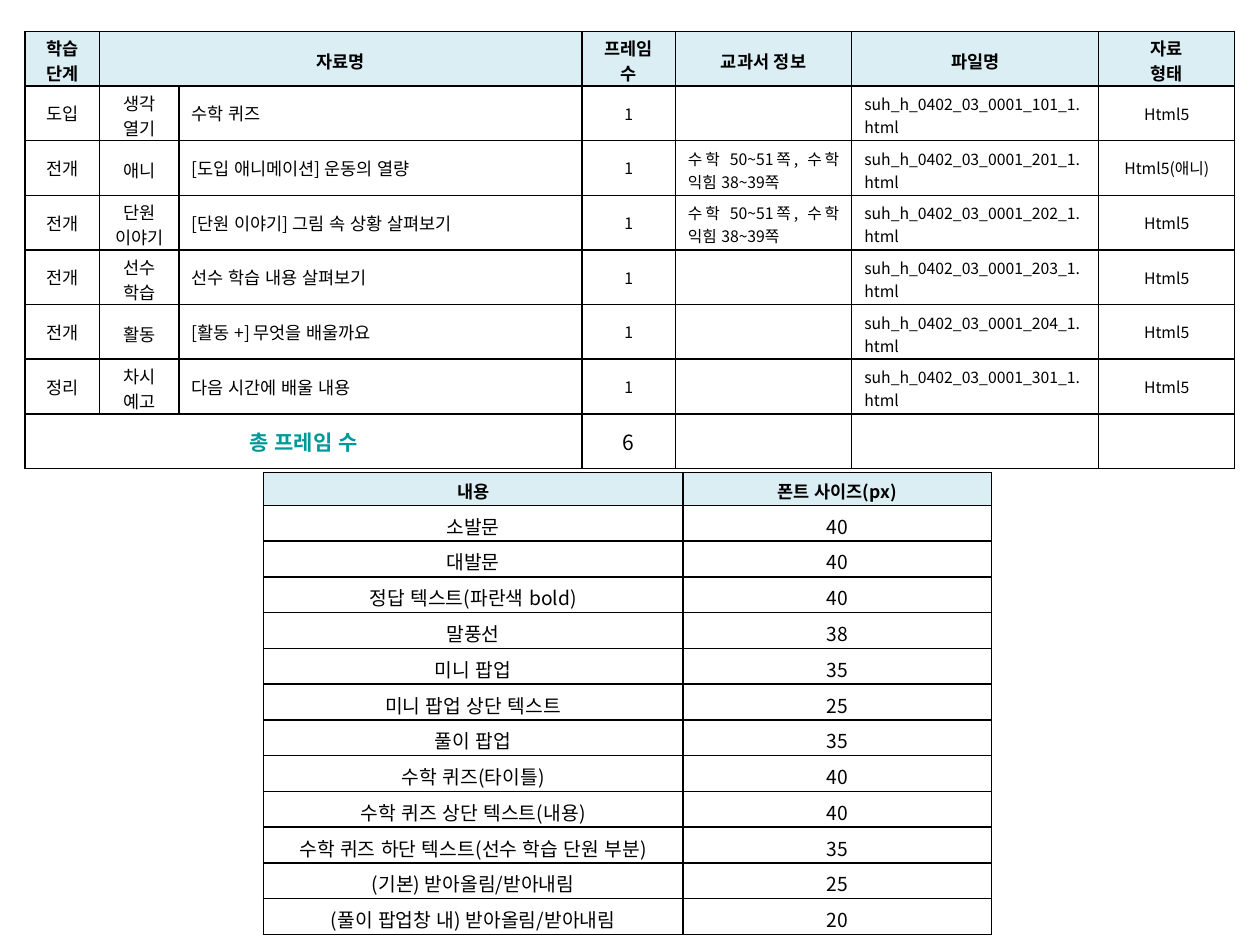
from dataclasses import dataclass

from lxml.etree import SubElement
from pptx import Presentation
from pptx.dml.color import RGBColor
from pptx.enum.lang import MSO_LANGUAGE_ID
from pptx.enum.text import MSO_ANCHOR, PP_ALIGN
from pptx.oxml.ns import qn
from pptx.util import Inches, Pt


@dataclass(frozen=True)
class Theme:
    """Colours, font, type sizes and cell margins of the slide."""
    font: str = "Noto Sans CJK KR"
    ink: str = "000000"
    accent: str = "009999"
    header: str = "DBEEF4"
    paper: str = "FFFFFF"
    small: int = 9
    normal: int = 10
    medium: int = 11
    large: int = 12
    even: tuple = (0.05, 0.05)
    two_line: tuple = (0.03, 0)
    two_line_small: tuple = (0.05, 0.02)
    compact: tuple = (0.05, 0.01)


THEME = Theme()
CENTER, LEFT, JUSTIFY = PP_ALIGN.CENTER, PP_ALIGN.LEFT, PP_ALIGN.JUSTIFY

LESSON_HEADER = ["학습 단계", "자료명", "", "프레임 수", "교과서 정보", "파일명", "자료\n형태"]
TEXTBOOK = "수학 50~51쪽, 수학 익힘 38~39쪽"
LESSONS = [
    ("도입", "생각\n열기", "수학 퀴즈", "", "101", "Html5"),
    ("전개", "애니", "[도입 애니메이션] 운동의 열량", TEXTBOOK, "201", "Html5(애니)"),
    ("전개", "단원\n이야기", "[단원 이야기] 그림 속 상황 살펴보기", TEXTBOOK, "202", "Html5"),
    ("전개", "선수\v학습", "선수 학습 내용 살펴보기", "", "203", "Html5"),
    ("전개", "활동", "[활동 +] 무엇을 배울까요", "", "204", "Html5"),
    ("정리", "차시 예고", "다음 시간에 배울 내용", "", "301", "Html5"),
]
LESSON_STYLES = [
    (THEME.normal, CENTER, THEME.even),
    (THEME.normal, CENTER, THEME.two_line),
    (THEME.normal, LEFT, THEME.even),
    (THEME.small, CENTER, THEME.even),
    (THEME.small, JUSTIFY, THEME.two_line_small),
    (THEME.small, JUSTIFY, THEME.two_line_small),
    (THEME.small, CENTER, THEME.even),
]
FONT_SIZES = [
    ("소발문", "40"),
    ("대발문", "40"),
    ("정답 텍스트(파란색 bold)", "40"),
    ("말풍선", "38"),
    ("미니 팝업", "35"),
    ("미니 팝업 상단 텍스트", "25"),
    ("풀이 팝업", "35"),
    ("수학 퀴즈(타이틀)", "40"),
    ("수학 퀴즈 상단 텍스트(내용)", "40"),
    ("수학 퀴즈 하단 텍스트(선수 학습 단원 부분)", "35"),
    ("(기본) 받아올림/받아내림", "25"),
    ("(풀이 팝업창 내) 받아올림/받아내림", "20"),
]


def add_span(para, text, size, color, bold):
    """Add one formatted run in the theme font."""
    span = para.add_run()
    span.text = text
    span.font.size = Pt(size)
    span.font.bold = bold
    span.font.name = THEME.font
    span.font.language_id = MSO_LANGUAGE_ID.KOREAN
    span.font.color.rgb = RGBColor.from_string(color)
    east_asian = SubElement(span.font._element, qn("a:ea"))
    east_asian.set("typeface", THEME.font)


def add_borders(cell):
    """Draw a thin line on every side of a cell."""
    properties = cell._tc.get_or_add_tcPr()
    for position, side in enumerate(("a:lnL", "a:lnR", "a:lnT", "a:lnB")):
        line = SubElement(properties, qn(side), w=str(Pt(1)))
        fill = SubElement(line, qn("a:solidFill"))
        SubElement(fill, qn("a:srgbClr"), val=THEME.ink)
        properties.insert(position, line)


def fill_cell(cell, text, size, align=CENTER, margins=THEME.even,
              color=THEME.ink, bold=False, fill=THEME.paper):
    """Format a cell and write its paragraphs; a vertical tab breaks a line."""
    cell.vertical_anchor = MSO_ANCHOR.MIDDLE
    cell.margin_top, cell.margin_bottom = map(Inches, margins)
    cell.fill.solid()
    cell.fill.fore_color.rgb = RGBColor.from_string(fill)
    add_borders(cell)
    frame = cell.text_frame
    for index, content in enumerate(text.split("\n")):
        para = frame.add_paragraph() if index else frame.paragraphs[0]
        para.alignment = align
        for number, line in enumerate(content.split("\v")):
            if number:
                para.add_line_break()
            if line:
                add_span(para, line, size, color, bold)
        SubElement(para._p, qn("a:endParaRPr"), sz=str(size * 100))


def add_grid(page, left, top, widths, heights):
    """Add a table with the given column widths and row heights."""
    frame = page.shapes.add_table(
        len(heights), len(widths), Inches(left), Inches(top),
        Inches(sum(widths)), Inches(sum(heights)))
    table = frame.table
    for column, width in zip(table.columns, widths):
        column.width = Inches(width)
    for row, height in zip(table.rows, heights):
        row.height = Inches(height)
    return table


def add_lesson_table(page):
    """Add the table of lesson materials with its total row."""
    table = add_grid(page, 0.2, 0.25, [0.59, 0.63, 3.2, 0.74, 1.4, 1.96, 1.08],
                     [3.47 / 8] * 8)
    for column, text in enumerate(LESSON_HEADER):
        fill_cell(table.cell(0, column), text, THEME.normal, margins=THEME.two_line,
                  bold=True, fill=THEME.header)
    for row, (stage, part, title, book, code, kind) in enumerate(LESSONS, 1):
        file_name = f"suh_h_0402_03_0001_{code}_1.html"
        values = [stage, part, title, "1", book, file_name, kind]
        for column, (text, style) in enumerate(zip(values, LESSON_STYLES)):
            fill_cell(table.cell(row, column), text, *style)
    totals = ["총 프레임 수", "", "", str(len(LESSONS)), "", "", ""]
    for column, text in enumerate(totals):
        label = column == 0
        fill_cell(table.cell(7, column), text, THEME.large, bold=label,
                  color=THEME.accent if label else THEME.ink)
    table.cell(0, 1).merge(table.cell(0, 2))
    table.cell(7, 0).merge(table.cell(7, 2))


def add_font_table(page):
    """Add the table of font sizes."""
    count = len(FONT_SIZES)
    table = add_grid(page, 2.09, 3.75, [3.33, 2.45],
                     [0.26] + [(3.67 - 0.26) / count] * count)
    for column, text in enumerate(("내용", "폰트 사이즈(px)")):
        fill_cell(table.cell(0, column), text, THEME.normal, margins=THEME.compact,
                  bold=True, fill=THEME.header)
    for row, values in enumerate(FONT_SIZES, 1):
        for column, text in enumerate(values):
            fill_cell(table.cell(row, column), text, THEME.medium, margins=THEME.compact)


def main():
    """Build the slide and save the deck."""
    deck = Presentation()
    deck.slide_width, deck.slide_height = Inches(10), Inches(7.5)
    page = deck.slides.add_slide(deck.slide_layouts[6])
    add_lesson_table(page)
    add_font_table(page)
    deck.save("out.pptx")


if __name__ == "__main__":
    main()
